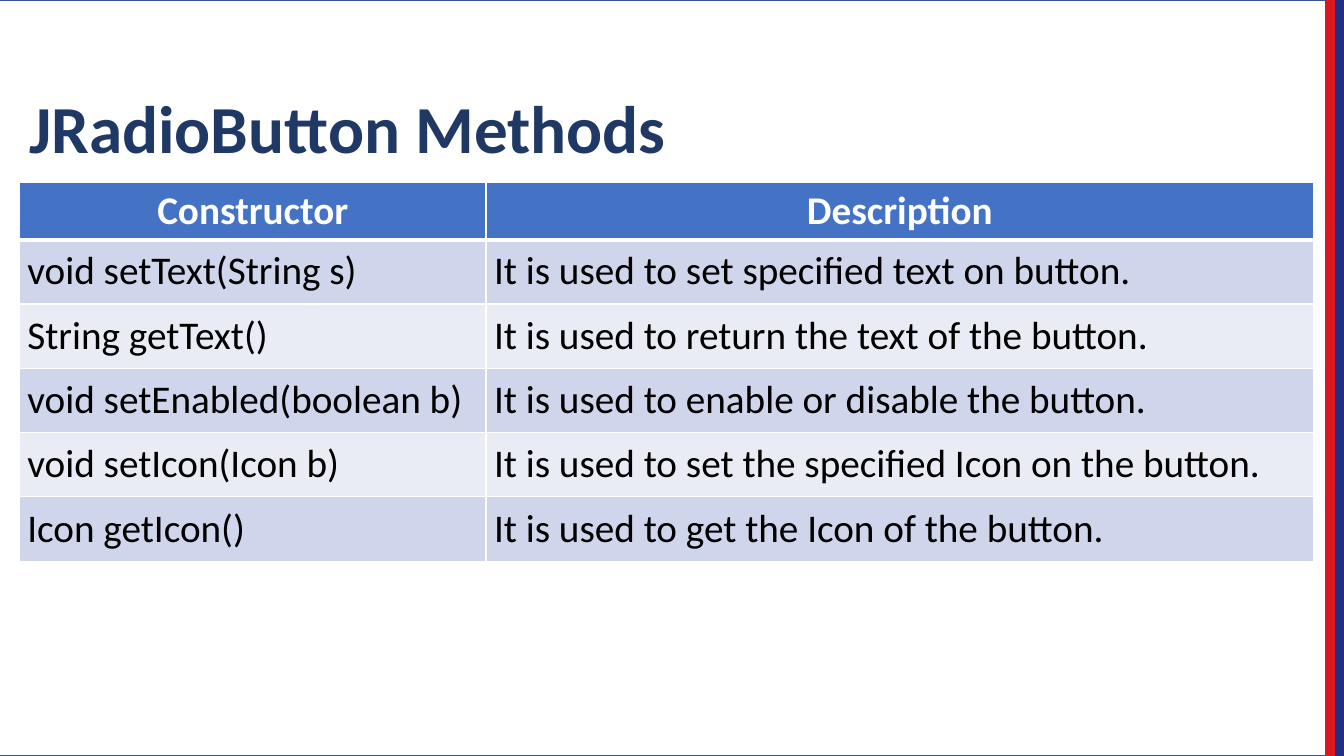
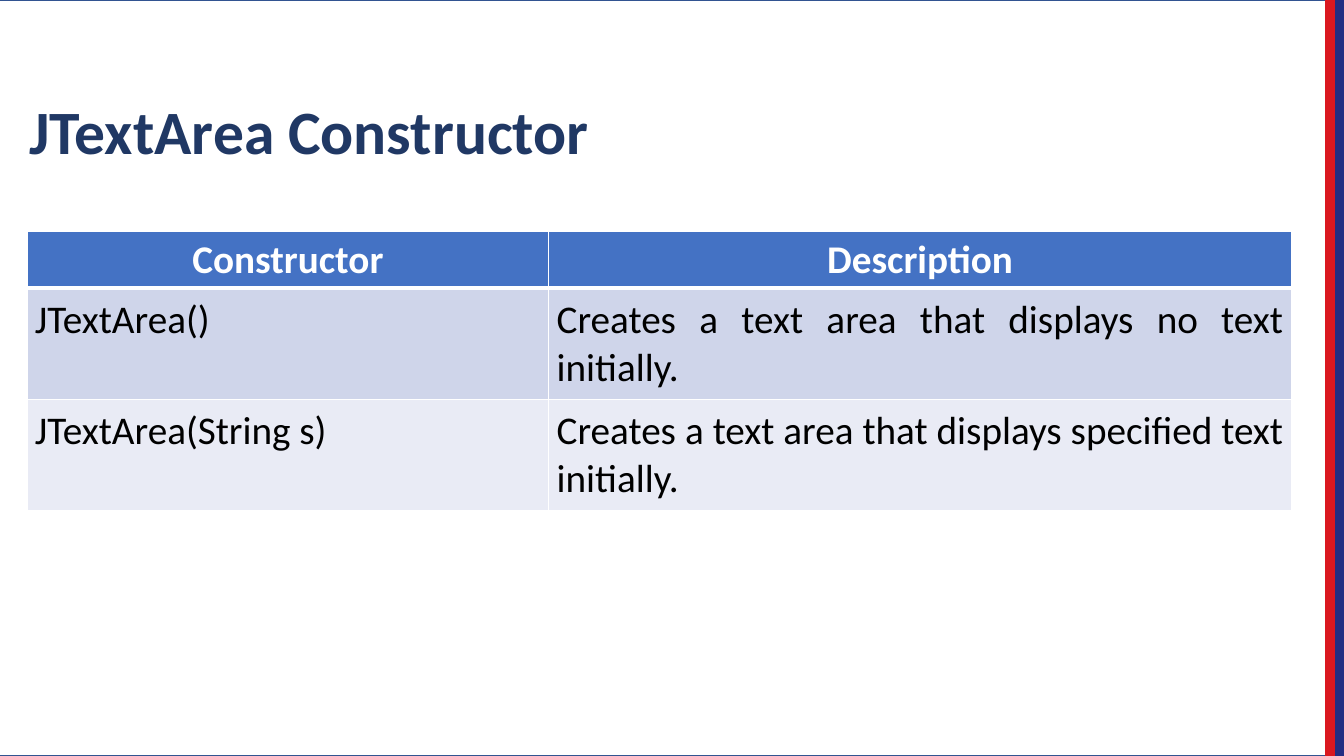
from dataclasses import dataclass

from lxml import etree
from pptx import Presentation
from pptx.dml.color import RGBColor
from pptx.enum.shapes import MSO_SHAPE
from pptx.enum.text import MSO_ANCHOR, PP_ALIGN
from pptx.oxml.ns import qn
from pptx.slide import Slide
from pptx.table import _Cell
from pptx.text.text import _Paragraph
from pptx.util import Cm, Pt

RECTANGLE = MSO_SHAPE.RECTANGLE
BOTTOM = MSO_ANCHOR.BOTTOM
CENTER = PP_ALIGN.CENTER
JUSTIFY = PP_ALIGN.JUSTIFY

FONT = "Calibri"
WHITE = "FFFFFF"
BLACK = "000000"
TITLE_NAVY = "203864"
HEADER_BLUE = "4472C4"
ROW_TINTS = ("CFD5EA", "E9EBF5")

SLIDE_WIDTH = 33.87
SLIDE_HEIGHT = 19.05
STRIPE_WIDTH = 0.23
HEADER_HEIGHT = 1.43
BODY_MARGIN = 0.2
BODY_SIZE = 28
THIN = 1
THICK = 3


@dataclass(frozen=True)
class Band:
    left: float
    width: float
    fill: str
    line: str


@dataclass(frozen=True)
class TableSlide:
    title: str
    title_size: int
    left: float
    top: float
    column_widths: tuple[float, ...]
    row_height: float
    rows: tuple[tuple[str, str], ...]


HEADINGS = ("Constructor", "Description")

BANDS = (
    Band(-STRIPE_WIDTH, SLIDE_WIDTH - STRIPE_WIDTH, WHITE, "325491"),
    Band(SLIDE_WIDTH - STRIPE_WIDTH, STRIPE_WIDTH, "232D82", "232D82"),
    Band(SLIDE_WIDTH - 2 * STRIPE_WIDTH, STRIPE_WIDTH, "DA1820", "DA1820"),
)

TABLE_SLIDES = (
    TableSlide(
        "JRadioButton Methods", 48, 0.49, 4.6, (11.76, 20.85), 1.62,
        (
            ("void setText(String s)", "It is used to set specified text on button."),
            ("String getText()", "It is used to return the text of the button."),
            ("void setEnabled(boolean b)", "It is used to enable or disable the button."),
            ("void setIcon(Icon b)", "It is used to set the specified Icon on the button."),
            ("Icon getIcon()", "It is used to get the Icon of the button."),
        ),
    ),
    TableSlide(
        "JTextArea Constructor", 44, 0.68, 5.82, (13.15, 18.71), 2.8,
        (
            ("JTextArea()", "Creates a text area that displays no text initially."),
            ("JTextArea(String s)", "Creates a text area that displays specified text initially."),
        ),
    ),
)


def color(value: str) -> RGBColor:
    return RGBColor.from_string(value)


def add_run(paragraph: _Paragraph, text: str, size: int, text_color: str, bold: bool) -> None:
    run = paragraph.add_run()
    run.text = text
    run.font.name = FONT
    run.font.size = Pt(size)
    run.font.bold = bold
    run.font.color.rgb = color(text_color)


def add_band(slide: Slide, band: Band) -> None:
    shape = slide.shapes.add_shape(
        RECTANGLE, Cm(band.left), Cm(0), Cm(band.width), Cm(SLIDE_HEIGHT)
    )
    shape.shadow.inherit = False
    shape.fill.solid()
    shape.fill.fore_color.rgb = color(band.fill)
    shape.line.color.rgb = color(band.line)
    shape.line.width = Pt(1)


def add_title(slide: Slide, text: str, size: int) -> None:
    shape = slide.shapes.add_textbox(Cm(0.49), Cm(0.68), Cm(31.06), Cm(3.68))
    frame = shape.text_frame
    frame.word_wrap = True
    frame.vertical_anchor = BOTTOM
    paragraph = frame.paragraphs[0]
    paragraph.line_spacing = 0.9
    add_run(paragraph, text, size, TITLE_NAVY, True)


def set_borders(cell: _Cell, top: int, bottom: int) -> None:
    properties = cell._tc.get_or_add_tcPr()
    widths = {"a:lnL": THIN, "a:lnR": THIN, "a:lnT": top, "a:lnB": bottom}
    for tag, width in widths.items():
        line = etree.SubElement(properties, qn(tag), w=str(Pt(width)))
        fill = etree.SubElement(line, qn("a:solidFill"))
        etree.SubElement(fill, qn("a:srgbClr"), val=WHITE)


def fill_cell(cell: _Cell, text: str, row_index: int) -> None:
    is_header = row_index == 0
    set_borders(cell, THICK if row_index == 1 else THIN, THICK if is_header else THIN)
    cell.fill.solid()
    tint = HEADER_BLUE if is_header else ROW_TINTS[(row_index - 1) % len(ROW_TINTS)]
    cell.fill.fore_color.rgb = color(tint)
    if not is_header:
        cell.margin_left = cell.margin_right = Cm(BODY_MARGIN)
        cell.margin_top = cell.margin_bottom = Cm(BODY_MARGIN)
    paragraph = cell.text_frame.paragraphs[0]
    paragraph.alignment = CENTER if is_header else JUSTIFY
    add_run(paragraph, text, BODY_SIZE, WHITE if is_header else BLACK, is_header)


def add_method_table(slide: Slide, content: TableSlide) -> None:
    rows = (HEADINGS, *content.rows)
    height = HEADER_HEIGHT + content.row_height * len(content.rows)
    table = slide.shapes.add_table(
        len(rows), len(HEADINGS), Cm(content.left), Cm(content.top),
        Cm(sum(content.column_widths)), Cm(height),
    ).table
    for column, width in zip(table.columns, content.column_widths):
        column.width = Cm(width)
    for row_index, texts in enumerate(rows):
        table.rows[row_index].height = Cm(content.row_height if row_index else HEADER_HEIGHT)
        for column_index, text in enumerate(texts):
            fill_cell(table.cell(row_index, column_index), text, row_index)


def main() -> None:
    presentation = Presentation()
    presentation.slide_width = Cm(SLIDE_WIDTH)
    presentation.slide_height = Cm(SLIDE_HEIGHT)
    blank_layout = presentation.slide_layouts[6]
    for content in TABLE_SLIDES:
        slide = presentation.slides.add_slide(blank_layout)
        for band in BANDS:
            add_band(slide, band)
        add_title(slide, content.title, content.title_size)
        add_method_table(slide, content)
    presentation.save("out.pptx")


if __name__ == "__main__":
    main()
